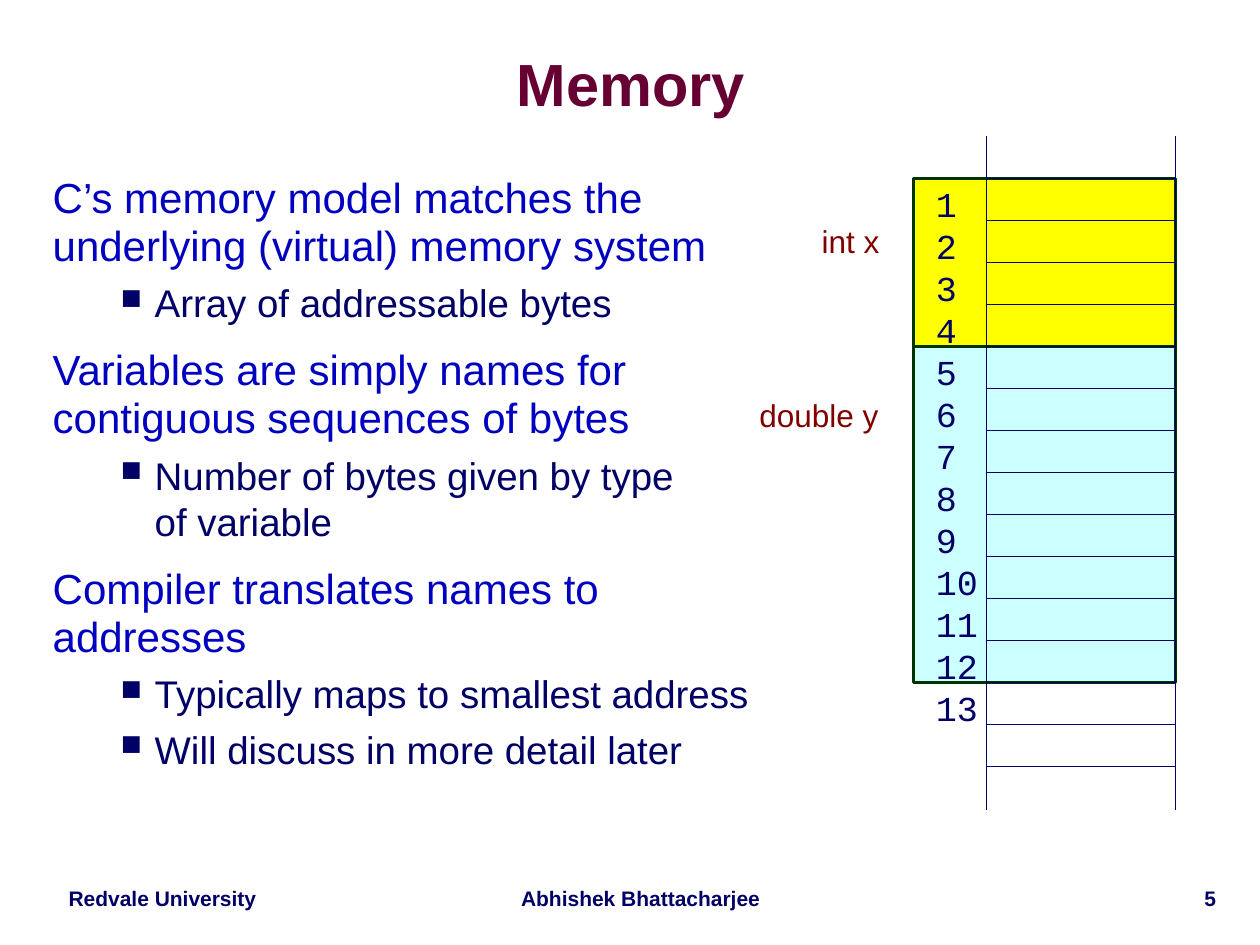
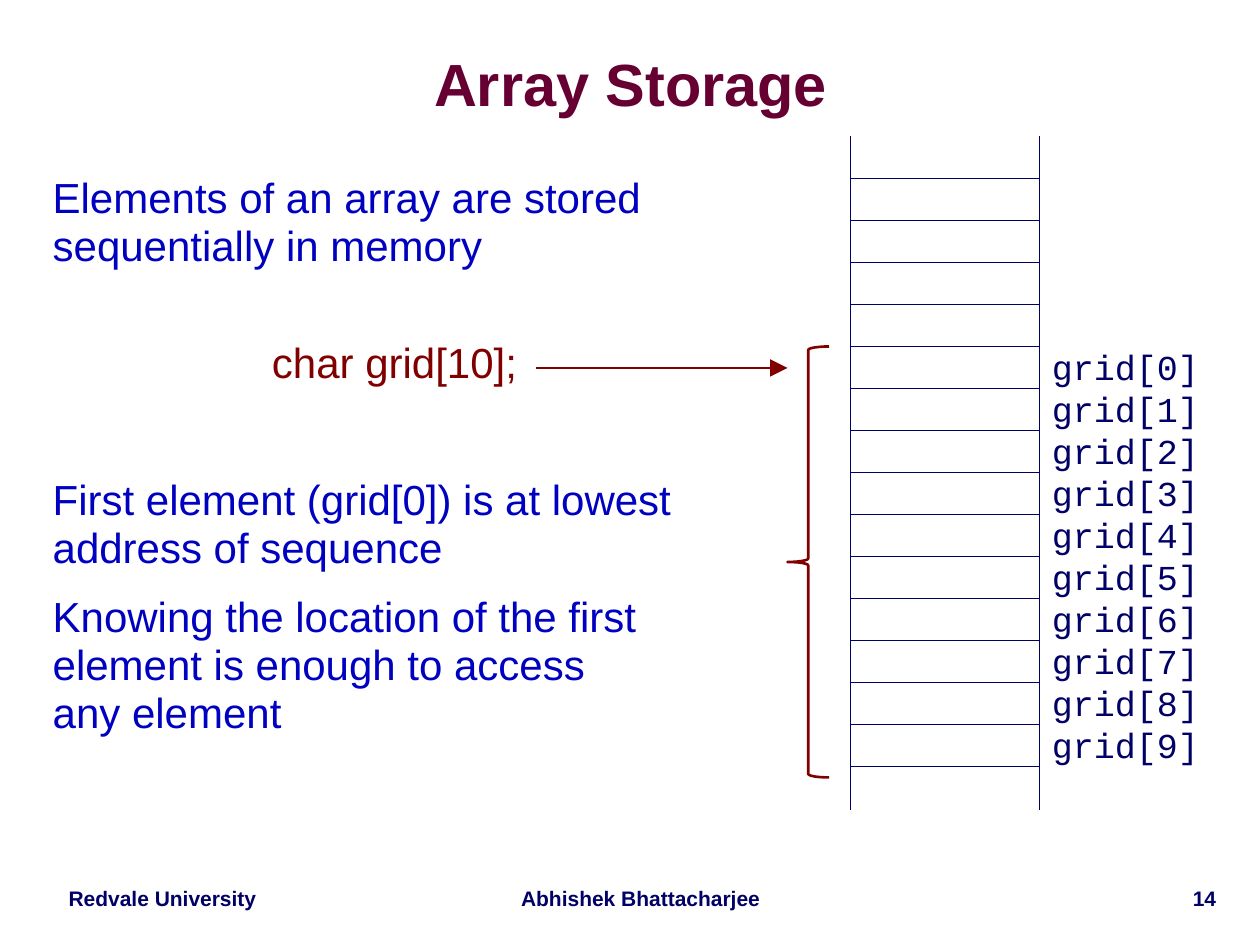
from dataclasses import dataclass

from lxml.etree import SubElement
from pptx import Presentation
from pptx.dml.color import RGBColor
from pptx.enum.shapes import MSO_CONNECTOR, MSO_SHAPE
from pptx.enum.text import MSO_ANCHOR, PP_ALIGN
from pptx.oxml.ns import qn
from pptx.util import Inches, Pt


@dataclass(frozen=True)
class Theme:
    font: str = "Arial"
    code_font: str = "Courier New"
    title: str = "660033"
    body: str = "0000C0"
    ink: str = "000066"
    accent: str = "800000"
    outline: str = "003300"
    integer_fill: str = "FFFF00"
    double_fill: str = "CCFFFF"
    title_size: float = 34
    body_size: float = 24
    bullet_size: float = 22
    code_size: float = 20
    label_size: float = 18
    footer_size: float = 12
    body_leading: float = 27.4
    bullet_leading: float = 26.3
    code_leading: float = 24
    body_gap: float = 12
    bullet_gap: float = 5.5


THEME = Theme()
MEMORY_TOP, MEMORY_BOTTOM = 1.08, 6.43
FIRST_ROW, ROW_HEIGHT, ROW_LINES = 17 / 12, 1 / 3, 15
CELL_WIDTH = 1.5


def color(value):
    return RGBColor.from_string(value)


def style(paragraph, size, ink, font=THEME.font, bold=False):
    paragraph.font.name = font
    paragraph.font.size = Pt(size)
    paragraph.font.bold = bold
    paragraph.font.color.rgb = color(ink)


def add_text_frame(slide, left, top, width, height, wrap=True):
    box = slide.shapes.add_textbox(Inches(left), Inches(top), Inches(width), Inches(height))
    box.text_frame.word_wrap = wrap
    return box.text_frame


def add_line_of_text(slide, text, place, size, ink, align=PP_ALIGN.CENTER,
                     bold=False, wrap=True, spacing=0.9):
    frame = add_text_frame(slide, *place, wrap=wrap)
    paragraph = frame.paragraphs[0]
    paragraph.text = text
    paragraph.alignment = align
    paragraph.line_spacing = spacing
    style(paragraph, size, ink, bold=bold)
    return frame


def add_title(slide, text):
    frame = add_line_of_text(slide, text, (0.31, 0.27, 9.39, 0.85), THEME.title_size,
                             THEME.title, bold=True, spacing=0.87)
    frame.vertical_anchor = MSO_ANCHOR.MIDDLE
    frame.margin_left = frame.margin_right = frame.margin_top = frame.margin_bottom = 0


def add_footer(slide, number):
    for text, place, align in (
        ("Redvale University", (0.33, 7, 1.92, 0.28), PP_ALIGN.CENTER),
        ("Abhishek Bhattacharjee", (4, 7, 2.17, 0.28), PP_ALIGN.CENTER),
        (str(number), (8.17, 7, 1.58, 0.28), PP_ALIGN.RIGHT),
    ):
        add_line_of_text(slide, text, place, THEME.footer_size, THEME.ink, align, bold=True)


def set_indent(paragraph, left, first=0):
    properties = paragraph._p.get_or_add_pPr()
    properties.set("marL", str(Inches(left)))
    properties.set("indent", str(Inches(first)))
    return properties


def format_point(paragraph, gap=THEME.body_gap, ink=THEME.body):
    paragraph.line_spacing = Pt(THEME.body_leading)
    paragraph.space_before = Pt(gap)
    style(paragraph, THEME.body_size, ink)


def format_bullet(paragraph):
    paragraph.level = 1
    paragraph.line_spacing = Pt(THEME.bullet_leading)
    paragraph.space_before = Pt(THEME.bullet_gap)
    properties = set_indent(paragraph, 0.81, -0.27)
    SubElement(properties, qn("a:buSzPct"), val="75000")
    SubElement(properties, qn("a:buChar"), char="■")
    style(paragraph, THEME.bullet_size, THEME.ink)


def format_declaration(paragraph):
    format_point(paragraph, 39.5, THEME.accent)
    set_indent(paragraph, 1.74)


def format_point_after_declaration(paragraph):
    format_point(paragraph, 51)


def add_body(slide, items):
    frame = add_text_frame(slide, 0.32, 1.33, 9.43, 5.5)
    for index, (text, formatter) in enumerate(items):
        paragraph = frame.add_paragraph() if index else frame.paragraphs[0]
        paragraph.text = text
        formatter(paragraph)
    frame.paragraphs[0].space_before = Pt(0)


def add_line(slide, start, end, ink=THEME.ink, width=0.75, arrow=False):
    line = slide.shapes.add_connector(
        MSO_CONNECTOR.STRAIGHT, *(Inches(value) for value in (*start, *end)))
    line.line.color.rgb = color(ink)
    line.line.width = Pt(width)
    if arrow:
        SubElement(line.line._get_or_add_ln(), qn("a:tailEnd"),
                   type="triangle", w="lg", len="lg")
    SubElement(line._element.spPr, qn("a:effectLst"))


def add_memory(slide, left):
    right = left + CELL_WIDTH
    for side in (left, right):
        add_line(slide, (side, MEMORY_TOP), (side, MEMORY_BOTTOM))
    for row in range(ROW_LINES):
        height = FIRST_ROW + row * ROW_HEIGHT
        add_line(slide, (left, height), (right, height))


def add_shape(slide, kind, place, outline, fill=None):
    shape = slide.shapes.add_shape(kind, *(Inches(value) for value in place))
    shape.shadow.inherit = False
    shape.line.color.rgb = color(outline)
    shape.line.width = Pt(1.5)
    if fill:
        shape.fill.solid()
        shape.fill.fore_color.rgb = color(fill)
    else:
        shape.fill.background()


def add_variable(slide, first_row, rows, fill):
    place = (7.25, FIRST_ROW + first_row * ROW_HEIGHT, 2.08, rows * ROW_HEIGHT)
    add_shape(slide, MSO_SHAPE.RECTANGLE, place, THEME.outline, fill)


def add_cell_labels(slide, labels, left, top, width):
    frame = add_text_frame(slide, left, top, width, len(labels) * ROW_HEIGHT + 0.1)
    frame.margin_right = 0
    frame.text = "\n".join(labels)
    for paragraph in frame.paragraphs:
        paragraph.line_spacing = Pt(THEME.code_leading)
        style(paragraph, THEME.code_size, THEME.ink, THEME.code_font)


def add_slide(presentation, title, number):
    slide = presentation.slides.add_slide(presentation.slide_layouts[6])
    add_footer(slide, number)
    add_title(slide, title)
    return slide


def build_memory_slide(presentation):
    slide = add_slide(presentation, "Memory", 5)
    add_variable(slide, 4, 8, THEME.double_fill)
    add_variable(slide, 0, 4, THEME.integer_fill)
    add_memory(slide, 7.83)
    add_cell_labels(slide, [str(address) for address in range(1, 14)], 7.33, 1.4, 0.53)
    add_body(slide, (
        ("C’s memory model matches the\vunderlying (virtual) memory system", format_point),
        ("Array of addressable bytes", format_bullet),
        ("Variables are simply names for\vcontiguous sequences of bytes", format_point),
        ("Number of bytes given by type\vof variable", format_bullet),
        ("Compiler translates names to\vaddresses", format_point),
        ("Typically maps to smallest address", format_bullet),
        ("Will discuss in more detail later", format_bullet),
    ))
    for text, place in (("int x", (6.42, 1.75, 0.66, 0.37)),
                        ("double y", (5.92, 3.13, 1.16, 0.37))):
        add_line_of_text(slide, text, place, THEME.label_size, THEME.accent, wrap=False)


def build_array_slide(presentation):
    slide = add_slide(presentation, "Array Storage", 14)
    add_body(slide, (
        ("Elements of an array are stored\vsequentially in memory", format_point),
        ("char grid[10];", format_declaration),
        ("First element (grid[0]) is at lowest\vaddress of sequence",
         format_point_after_declaration),
        ("Knowing the location of the first\velement is enough to access\vany element",
         format_point),
    ))
    add_memory(slide, 6.75)
    add_cell_labels(slide, [f"grid[{index}]" for index in range(10)], 8.25, 2.69, 1.37)
    add_line(slide, (4.25, 2.92), (6.25, 2.92), THEME.accent, 1.5, arrow=True)
    add_shape(slide, MSO_SHAPE.LEFT_BRACE, (6.25, 2.75, 0.33, 3.42), THEME.accent)


def main():
    presentation = Presentation()
    presentation.slide_width = Inches(10)
    presentation.slide_height = Inches(7.5)
    build_memory_slide(presentation)
    build_array_slide(presentation)
    presentation.save("out.pptx")


main()
